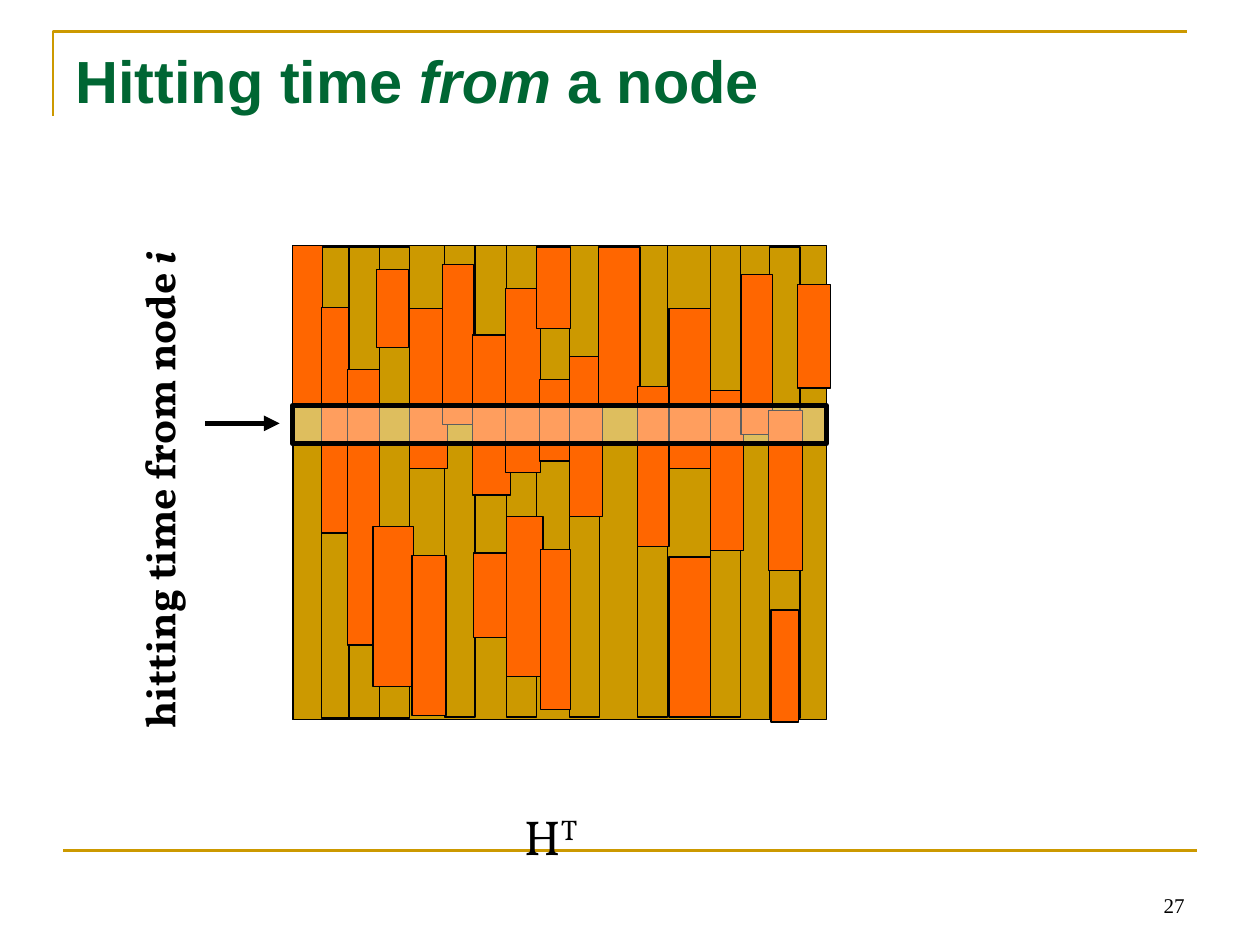
import pptx
import pptx.util
import pptx.dml.color
import pptx.enum.shapes
import pptx.enum.text
import pptx.oxml.ns
from lxml import etree

RGB = pptx.dml.color.RGBColor
GOLD = RGB(0xCC, 0x99, 0x00)
ORANGE = RGB(0xFF, 0x66, 0x00)
GREEN = RGB(0x00, 0x66, 0x33)
BLACK = RGB(0, 0, 0)
WHITE = RGB(0xFF, 0xFF, 0xFF)

Pt = pptx.util.Pt
Align = pptx.enum.text.PP_ALIGN
Anchor = pptx.enum.text.MSO_ANCHOR
Fit = pptx.enum.text.MSO_AUTO_SIZE
Shape = pptx.enum.shapes.MSO_SHAPE
Wire = pptx.enum.shapes.MSO_CONNECTOR
qn = pptx.oxml.ns.qn

SCALE = 9144  # EMU in one px, 100 px to the inch

# Gold columns: left and top, from the corner of the matrix
COLS = [(1, 2), (23, 1), (45, 1), (69, 1), (121, 0), (170, 0), (220, 0),
        (274, 0), (332, 0), (379, 1)]
# Orange bars: left, top, width, height, from the corner of the matrix
BARS = [(0, 0, 24, 127), (23, 49, 22, 179), (44, 98, 25, 219),
        (67, 19, 25, 62), (64, 223, 32, 127), (93, 50, 30, 127),
        (95, 246, 27, 127), (119, 15, 25, 127), (143, 71, 30, 127),
        (144, 244, 27, 67), (169, 34, 28, 146), (170, 215, 29, 127),
        (194, 1, 27, 65), (196, 106, 25, 65), (197, 241, 24, 127),
        (220, 88, 26, 127), (243, 1, 33, 127), (274, 112, 25, 127),
        (299, 50, 33, 127), (299, 247, 33, 127), (332, 115, 26, 127),
        (356, 23, 25, 127), (378, 131, 27, 127), (380, 289, 22, 89),
        (401, 31, 26, 82)]


def px(*vals):
    return [pptx.util.Emu(v * SCALE) for v in vals]


def rect(slide, box, fill, weight=0.75):
    shape = slide.shapes.add_shape(Shape.RECTANGLE, *px(*box))
    shape.shadow.inherit = False
    shape.fill.solid()
    shape.fill.fore_color.rgb = fill
    shape.line.color.rgb = BLACK
    shape.line.width = Pt(weight)
    return shape


def line(slide, ends, color, weight):
    wire = slide.shapes.add_connector(Wire.STRAIGHT, *px(*ends))
    wire.line.color.rgb = color
    wire.line.width = Pt(weight)
    etree.SubElement(wire._element.spPr, qn("a:effectLst"))
    return wire


def write(para, parts, name, size, color=BLACK, bold=False):
    """Fill a paragraph with (text, italic) parts in one font."""
    for text, slant in parts:
        run = para.add_run()
        run.text = text
        if slant:
            run.font.italic = True
    font = para.font
    font.name, font.size, font.bold = name, Pt(size), bold
    font.color.rgb = color


def label(slide, box, parts, name, size, bold=False, before=0):
    text = slide.shapes.add_textbox(*px(*box))
    frame = text.text_frame
    frame.word_wrap = True
    para = frame.paragraphs[0]
    para.space_before = Pt(before)
    write(para, parts, name, size, bold=bold)
    return text


def frame(slide, box):
    """Draw the gold corner and the foot rule."""
    x, y, w, h = box
    path = slide.shapes.build_freeform(x, y + 67, scale=SCALE)
    path.add_line_segments([(x, y), (x + w, y)], close=False)
    corner = path.convert_to_shape()
    corner.shadow.inherit = False
    corner.fill.background()
    corner.line.color.rgb = GOLD
    corner.line.width = Pt(1.5)
    line(slide, (x + 8, y + h, x + 8 + w, y + h), GOLD, 1.5)


def title(slide, box):
    head = slide.shapes.title
    head.left, head.top, head.width, head.height = px(*box)
    body = head.text_frame
    body.auto_size = Fit.NONE
    body.vertical_anchor = Anchor.TOP
    para = body.paragraphs[0]
    para.alignment = Align.LEFT
    write(para, [("Hitting time ", False), ("from", True), (" a node", False)],
          "Arial", 34, GREEN, True)


def matrix(slide, box):
    x, y, w, h = box
    rect(slide, box, GOLD)
    for left, top in COLS:
        rect(slide, (x + left, y + top, 24, 374), GOLD)
    for left, top, wide, high in BARS:
        rect(slide, (x + left, y + top, wide, high), ORANGE)
    row = rect(slide, (x, y + 127, w, 30), WHITE, 3)
    tint = row._element.spPr.find(qn("a:solidFill"))[0]
    etree.SubElement(tint, qn("a:alpha"), val="37000")


def notes(slide, box):
    """Label the matrix in box: row name, arrow and symbol."""
    x, y, w, h = box
    mid = y + 141
    side = label(slide, (x - 290, y + 144, 408, 90),
                 [("hitting time from node ", False), ("i", True)],
                 "Vollkorn", 24, True, 15)
    side.rotation = 270
    arrow = line(slide, (x - 69, mid, x - 10, mid), BLACK, 3)
    etree.SubElement(arrow.line._get_or_add_ln(), qn("a:tailEnd"),
                     type="triangle")
    name = label(slide, (x + 174, y + h + 64, 168, 57),
                 [("H", False), ("T", False)], "Vollkorn", 28, before=17.5)
    power = name.text_frame.paragraphs[0].runs[1]
    power.font._element.set("baseline", "30000")


def number(slide, box):
    text = label(slide, box, [("27", False)], "Times New Roman", 12)
    text.text_frame.vertical_anchor = Anchor.BOTTOM
    text.text_frame.paragraphs[0].alignment = Align.RIGHT


def main():
    deck = pptx.Presentation()
    deck.slide_width, deck.slide_height = px(1000, 750)
    slide = deck.slides.add_slide(deck.slide_layouts[5])
    grid = (232, 195, 424, 376)
    frame(slide, (42, 25, 900, 650))
    title(slide, (50, 30, 900, 125))
    matrix(slide, grid)
    notes(slide, grid)
    number(slide, (717, 683, 233, 50))
    deck.save("out.pptx")


if __name__ == "__main__":
    main()
